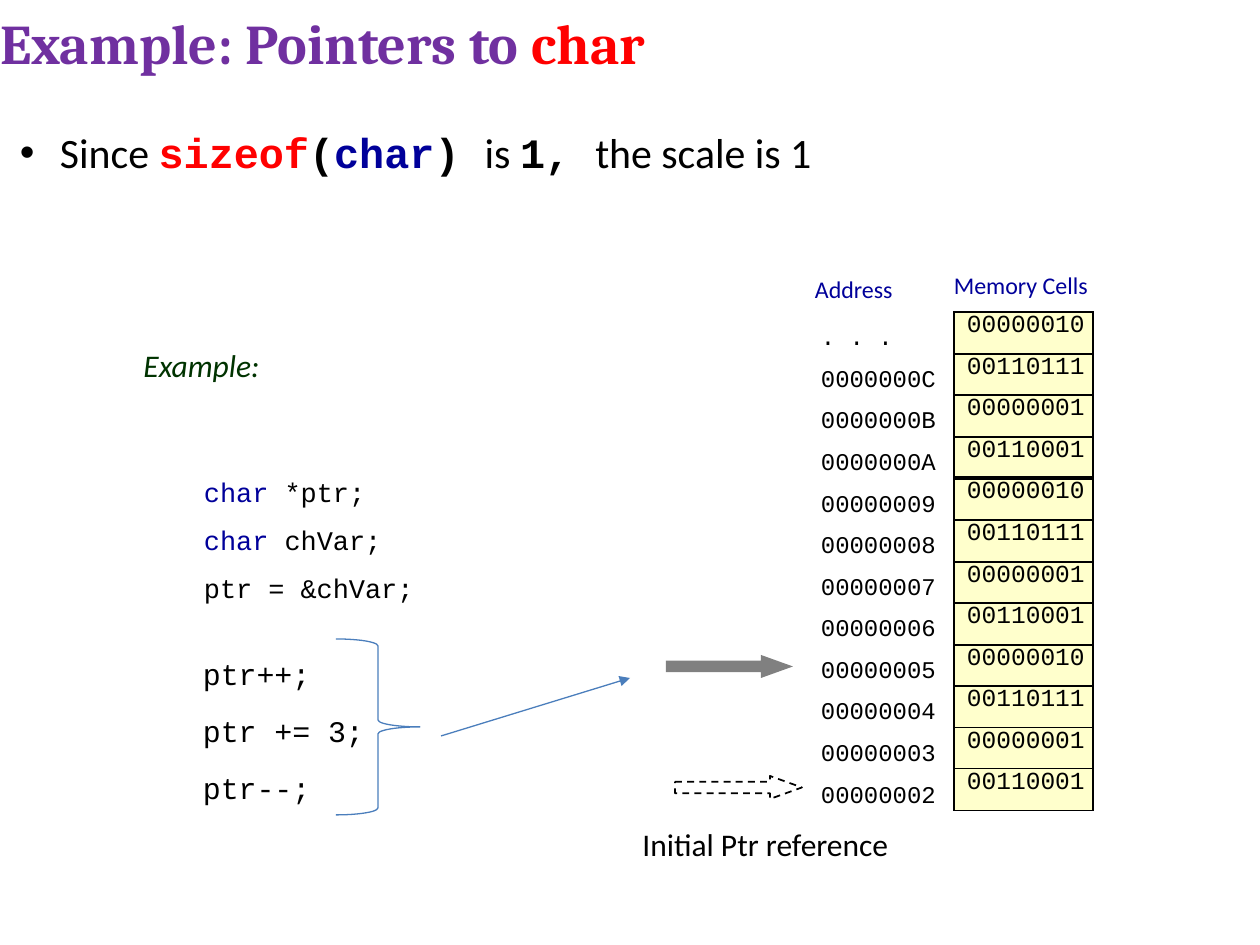
from lxml import etree
from pptx import Presentation, util as u
from pptx.dml.color import RGBColor
from pptx.enum import dml, shapes, text
from pptx.oxml import parse_xml
from pptx.oxml.ns import nsdecls, qn

BLACK = RGBColor(0x00, 0x00, 0x00)
RED = RGBColor(0xFF, 0x00, 0x00)
PURPLE = RGBColor(0x70, 0x30, 0xA0)
NAVY = RGBColor(0x00, 0x00, 0x9A)
GREEN = RGBColor(0x00, 0x33, 0x00)
GREY = RGBColor(0x80, 0x80, 0x80)
BLUE = RGBColor(0x4B, 0x7E, 0xBC)
CREAM = RGBColor(0xFF, 0xFF, 0xCC)
SANS, MONO, SERIF = "Calibri", "Courier New", "Cambria"


def px(n):
    return u.Emu(round(n * 914400 / 126))


class Deck:
    def __init__(self):
        self.prs = Presentation()
        self.prs.slide_width, self.prs.slide_height = px(1260), px(945)
        self.s = self.prs.slides.add_slide(self.prs.slide_layouts[5])

    def runs(self, p, parts, size, font=SANS, color=BLACK, bold=False, italic=False):
        """Each part is a string, or (string, {settings that differ})."""
        base = dict(size=size, font=font, color=color, bold=bold, italic=italic)
        for part in parts:
            words, changes = (part, {}) if isinstance(part, str) else part
            style = {**base, **changes}
            r = p.add_run()
            r.text = words
            r.font.size, r.font.name = u.Pt(style["size"]), style["font"]
            r.font.bold, r.font.italic = style["bold"], style["italic"]
            r.font.color.rgb = style["color"]

    def frame(self, tf, inset=True):
        tf.word_wrap = True
        if not inset:
            tf.margin_left = tf.margin_top = tf.margin_right = tf.margin_bottom = 0

    def title(self, x, y, w, h, parts, **style):
        sp = self.s.shapes.title
        sp.left, sp.top, sp.width, sp.height = map(px, (x, y, w, h))
        tf = sp.text_frame
        self.frame(tf, inset=False)
        tf.vertical_anchor = text.MSO_ANCHOR.MIDDLE
        tf.paragraphs[0].alignment = text.PP_ALIGN.LEFT
        self.runs(tf.paragraphs[0], parts, **style)

    def box(self, x, y, w, h, inset=False):
        tf = self.s.shapes.add_textbox(*map(px, (x, y, w, h))).text_frame
        self.frame(tf, inset)
        return tf

    def line(self, tf, parts, pitch=None, before=0, indent=0, hang=0, bullet=None, **style):
        first = tf.paragraphs[0]
        p = tf.add_paragraph() if first.runs else first
        p.space_before = u.Pt(before)
        if pitch:
            p.line_spacing = u.Pt(pitch)
        pPr = p._p.get_or_add_pPr()
        pPr.set("marL", str(px(indent)))
        pPr.set("indent", str(-px(hang)))
        if bullet:
            etree.SubElement(pPr, qn("a:buFont")).set("typeface", "Arial")
            etree.SubElement(pPr, qn("a:buChar")).set("char", bullet)
        self.runs(p, parts, **style)

    def shape(self, kind, x, y, w, h, fill=None, line=None, width=1.0, dash=None, adjust=()):
        sp = self.s.shapes.add_shape(kind, *map(px, (x, y, w, h)))
        sp.shadow.inherit = False
        for i, value in enumerate(adjust):
            sp.adjustments[i] = value
        if fill is None:
            sp.fill.background()
        else:
            sp.fill.solid()
            sp.fill.fore_color.rgb = fill
        if line is None:
            sp.line.fill.background()
        else:
            sp.line.color.rgb, sp.line.width = line, u.Pt(width)
            sp.line.dash_style = dash

    def arrow(self, x1, y1, x2, y2, color, width):
        c = self.s.shapes.add_connector(shapes.MSO_CONNECTOR.STRAIGHT, *map(px, (x1, y1, x2, y2)))
        c.line.color.rgb, c.line.width = color, u.Pt(width)
        etree.SubElement(c.line._get_or_add_ln(), qn("a:tailEnd")).set("type", "triangle")
        etree.SubElement(c._element.spPr, qn("a:effectLst"))

    def column(self, x, y, w, h, values, thick_after, **style):
        n = len(values)
        edges = [round(h * i / n) for i in range(n + 1)]
        table = self.s.shapes.add_table(n, 1, *map(px, (x, y, w, h))).table
        table.first_row = table.horz_banding = False
        table.columns[0].width = px(w)
        for i, value in enumerate(values):
            table.rows[i].height = px(edges[i + 1] - edges[i])
            cell = table.cell(i, 0)
            cell.margin_left, cell.margin_right = px(13), 0
            cell.margin_top = cell.margin_bottom = 0
            self.runs(cell.text_frame.paragraphs[0], [value], **style)
            cell.fill.solid()
            cell.fill.fore_color.rgb = CREAM
            top = 2.75 if i == thick_after else 1
            bottom = 2.75 if i + 1 == thick_after else 1
            self.borders(cell, L=1, R=1, T=top, B=bottom)

    def borders(self, cell, **widths):
        tcPr = cell._tc.get_or_add_tcPr()
        for i, (side, width) in enumerate(widths.items()):
            tcPr.insert(i, parse_xml(
                f'<a:ln{side} {nsdecls("a")} w="{u.Pt(width)}"><a:solidFill>'
                f'<a:srgbClr val="{BLACK}"/></a:solidFill></a:ln{side}>'))


def main():
    d = Deck()
    mono = dict(font=MONO, bold=True)
    keyword = dict(color=NAVY)

    # Title and bullet
    d.title(0, -1, 1187, 86, ["Example: Pointers to ", ("char", dict(color=RED))],
            size=32, font=SERIF, color=PURPLE, bold=True)
    d.line(d.box(19, 132, 1022, 88),
           ["Since ", ("sizeof", {**mono, "color": RED}), ("(", mono),
            ("char", {**mono, **keyword}), (") ", mono), "is ", ("1, ", mono),
            "the scale is 1"],
           pitch=25.8, indent=41, hang=40, bullet="•", size=23.9)

    # Memory: addresses beside their cells
    tf = d.box(814, 275, 125, 534)
    d.line(tf, ["Address"], indent=1, size=13.7, color=NAVY)
    addresses = [". . ."] + [f"{n:08X}" for n in range(12, 1, -1)]
    for i, address in enumerate(addresses):
        d.line(tf, [address], pitch=23.75, before=0 if i else 3, indent=7,
               size=13.7, font=MONO)
    d.line(d.box(953, 271, 137, 29), ["Memory Cells"], indent=1, size=13.7, color=NAVY)
    d.column(954, 312, 139, 499, ["00000010", "00110111", "00000001", "00110001"] * 3,
             thick_after=4, size=14, font=MONO)

    # Code
    d.line(d.box(130, 340, 145, 50, inset=True), ["Example:"], indent=1,
           size=18, color=GREEN, italic=True)
    tf = d.box(202, 459, 240, 349)
    for parts in ([("char ", keyword), "*ptr;"], [("char ", keyword), "chVar;"],
                  ["ptr = &chVar;"]):
        d.line(tf, parts, pitch=27.7, indent=2, size=15.4, font=MONO)
    for i, statement in enumerate(["ptr++;", "ptr += 3;", "ptr--;"]):
        d.line(tf, [statement], pitch=32.5, before=0 if i else 17.5, indent=1,
               size=17.1, font=MONO)
    d.shape(shapes.MSO_SHAPE.RIGHT_BRACE, 336, 639, 84, 176, line=BLUE, width=0.75)
    d.arrow(441, 736, 630, 678, BLUE, 0.75)

    # Pointer positions: current, then initial
    head = (0.5, 1.39)
    d.shape(shapes.MSO_SHAPE.RIGHT_ARROW, 666, 655, 127, 23, fill=GREY, adjust=head)
    d.shape(shapes.MSO_SHAPE.RIGHT_ARROW, 675, 776, 127, 23, line=BLACK,
            dash=dml.MSO_LINE.DASH, adjust=head)
    d.line(d.box(630, 819, 372, 50, inset=True), ["Initial Ptr reference"], size=18)

    d.prs.save("out.pptx")


if __name__ == "__main__":
    main()
